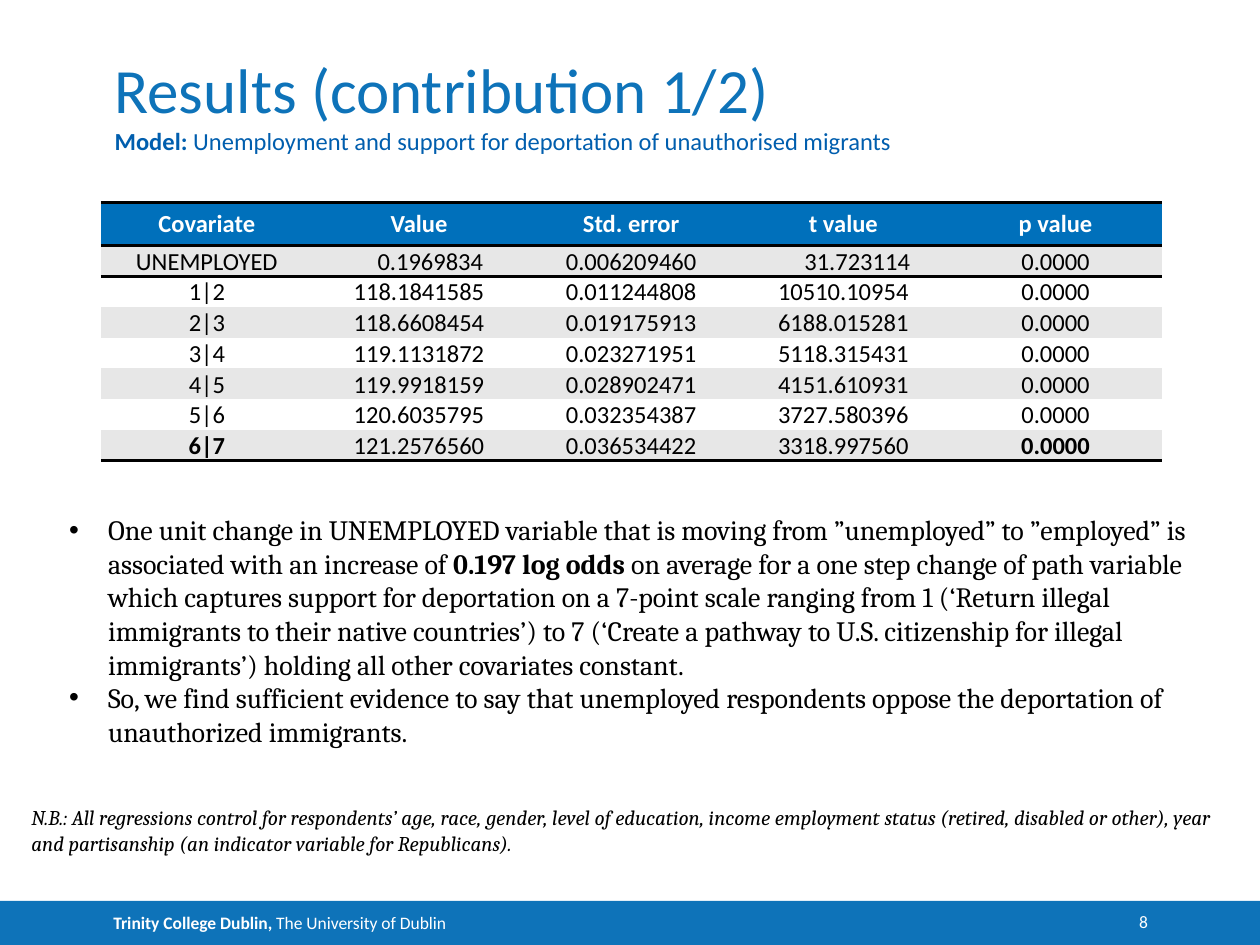
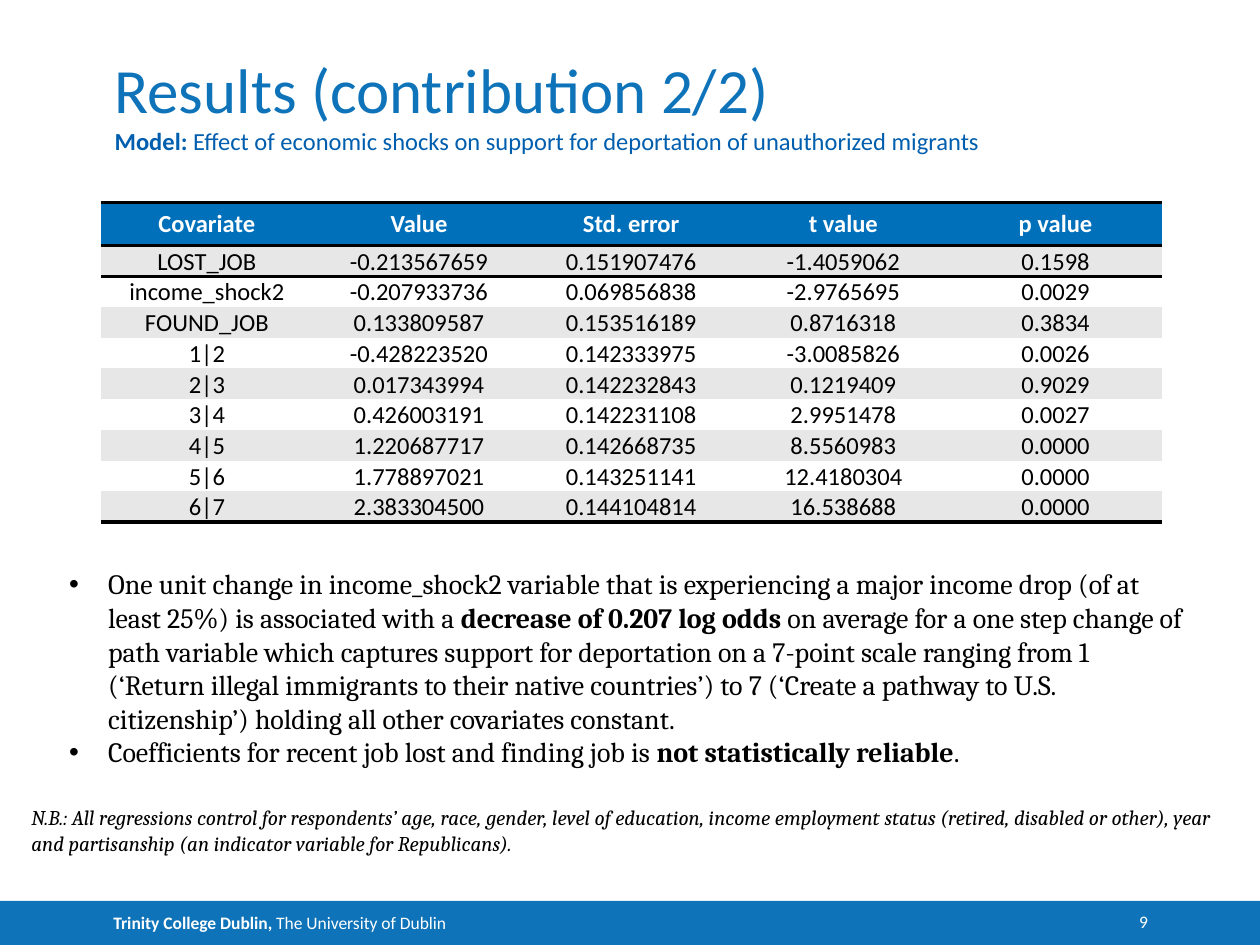
from lxml import etree
from pptx import Presentation
from pptx.dml.color import RGBColor
from pptx.enum import shapes, text
from pptx import util as u
from pptx.oxml import ns

BLUE, NAVY, HEAD = "0E73B9", "005EAE", "0070BB"
BLACK, WHITE, GREY = "000000", "FFFFFF", "E7E7E7"
SANS, SERIF = "Calibri", "Cambria"
PLAIN = "{2D5ABB26-0587-4C30-8999-92F81FD0307C}"
LEFT, MID, RIGHT = text.PP_ALIGN.LEFT, text.PP_ALIGN.CENTER, text.PP_ALIGN.RIGHT
TOP, BASE = text.MSO_ANCHOR.TOP, text.MSO_ANCHOR.BOTTOM

HEADS = ["Covariate", "Value", "Std. error", "t value", "p value"]
NOTE = ("N.B.: All regressions control for respondents’ age, race, gender, level of "
        "education, income employment status (retired, disabled or other), year and "
        "partisanship (an indicator variable for Republicans).")

# Asterisks enclose bold words; pads push single cells to the right (in inches).
PAGES = [
    dict(
        num="8", title="Results (contribution 1/2)", top=40.2, tall=19.9,
        model="*Model:* Unemployment and support for deportation of unauthorised migrants",
        pads={(1, 1): 0.18, (1, 3): 0.22},
        rows=[
            ["UNEMPLOYED", "0.1969834", "0.006209460", "31.723114", "0.0000"],
            ["1|2", "118.1841585", "0.011244808", "10510.10954", "0.0000"],
            ["2|3", "118.6608454", "0.019175913", "6188.015281", "0.0000"],
            ["3|4", "119.1131872", "0.023271951", "5118.315431", "0.0000"],
            ["4|5", "119.9918159", "0.028902471", "4151.610931", "0.0000"],
            ["5|6", "120.6035795", "0.032354387", "3727.580396", "0.0000"],
            ["*6|7*", "121.2576560", "0.036534422", "3318.997560", "*0.0000*"],
        ],
        points=[
            "One unit change in UNEMPLOYED variable that is moving from ”unemployed” to "
            "”employed” is associated with an increase of *0.197 log odds* on average for "
            "a one step change of path variable which captures support for deportation on "
            "a 7-point scale ranging from 1 (‘Return illegal immigrants to their native "
            "countries’) to 7 (‘Create a pathway to U.S. citizenship for illegal "
            "immigrants’) holding all other covariates constant.",
            "So, we find sufficient evidence to say that unemployed respondents oppose "
            "the deportation of unauthorized immigrants.",
        ]),
    dict(
        num="9", title="Results (contribution 2/2)", top=44.5, tall=17.2,
        model="*Model:* Effect of economic shocks on support for deportation of "
              "unauthorized migrants",
        pads={},
        rows=[
            ["LOST_JOB", "-0.213567659", "0.151907476", "-1.4059062", "0.1598"],
            ["income_shock2", "-0.207933736", "0.069856838", "-2.9765695", "0.0029"],
            ["FOUND_JOB", "0.133809587", "0.153516189", "0.8716318", "0.3834"],
            ["1|2", "-0.428223520", "0.142333975", "-3.0085826", "0.0026"],
            ["2|3", "0.017343994", "0.142232843", "0.1219409", "0.9029"],
            ["3|4", "0.426003191", "0.142231108", "2.9951478", "0.0027"],
            ["4|5", "1.220687717", "0.142668735", "8.5560983", "0.0000"],
            ["5|6", "1.778897021", "0.143251141", "12.4180304", "0.0000"],
            ["6|7", "2.383304500", "0.144104814", "16.538688", "0.0000"],
        ],
        points=[
            "One unit change in income_shock2 variable that is experiencing a major income "
            "drop (of at least 25%) is associated with a *decrease of 0.207 log odds* on "
            "average for a one step change of path variable which captures support for "
            "deportation on a 7-point scale ranging from 1 (‘Return illegal immigrants to "
            "their native countries’) to 7 (‘Create a pathway to U.S. citizenship’) "
            "holding all other covariates constant.",
            "Coefficients for recent job lost and finding job is *not statistically "
            "reliable*.",
        ]),
]

deck = Presentation()
deck.slide_width, deck.slide_height = u.Inches(10), u.Inches(7.5)
CELL = deck.slide_width / 100  # the slide is a grid of 100 columns and 75 rows


def grid(*cells):
    return [round(n * CELL) for n in cells]


def write(frame, lines, size, hue, font=SANS, align=LEFT, slant=None, dots=False):
    """Fill a text frame, one paragraph a line, with *bold* runs."""
    frame.word_wrap = True
    for i, line in enumerate(lines):
        para = frame.paragraphs[0] if i == 0 else frame.add_paragraph()
        para.alignment = align
        if dots:
            props = para._p.get_or_add_pPr()
            props.set("marL", str(u.Inches(0.31)))
            props.set("indent", str(-u.Inches(0.31)))
            etree.SubElement(props, ns.qn("a:buFont"), typeface="Arial")
            etree.SubElement(props, ns.qn("a:buChar"), char="•")
        for k, part in enumerate(line.split("*")):
            if part:
                run = para.add_run()
                run.text = part
                run.font.name, run.font.size = font, u.Pt(size)
                run.font.bold, run.font.italic = k % 2 == 1, slant
                run.font.color.rgb = RGBColor.from_string(hue)


for page in PAGES:
    slide = deck.slides.add_slide(deck.slide_layouts[6])

    # Footer band
    band = slide.shapes.add_shape(shapes.MSO_SHAPE.RECTANGLE, *grid(0, 71.5, 100, 3.5))
    band.shadow.inherit = False
    band.fill.solid()
    band.fill.fore_color.rgb = RGBColor.from_string(BLUE)
    band.line.fill.background()
    frame = band.text_frame
    frame.margin_left, frame.margin_top, frame.margin_bottom = u.Inches(0.9), 0, 0
    frame.vertical_anchor = text.MSO_ANCHOR.MIDDLE
    write(frame, ["*Trinity College Dublin, *The University of Dublin"], 10, WHITE)

    # Page number, title and model line
    for spot, words, size, hue, align, anchor in [
        ((87, 72.3, 4.1, 1.7), page["num"], 10, WHITE, RIGHT, TOP),
        ((9.1, 3.9, 82, 6.1), page["title"], 36, BLUE, LEFT, BASE),
        ((9.1, 10, 82, 3), page["model"], 14, NAVY, LEFT, TOP),
    ]:
        frame = slide.shapes.add_textbox(*grid(*spot)).text_frame
        frame.margin_left = frame.margin_right = 0
        frame.margin_top = frame.margin_bottom = 0
        frame.vertical_anchor = anchor
        write(frame, [words], size, hue, align=align)

    # Findings and note
    box = slide.shapes.add_textbox(*grid(4.5, page["top"], 91, page["tall"]))
    write(box.text_frame, page["points"], 16, BLACK, SERIF, dots=True)
    box = slide.shapes.add_textbox(*grid(1.5, 63.4, 97.2, 5))
    write(box.text_frame, [NOTE], 12, BLACK, SERIF, slant=True)

    # Table of estimates
    rows = [HEADS] + page["rows"]
    last = len(rows) - 1
    table = slide.shapes.add_table(
        len(rows), len(HEADS), *grid(8, 16.1, 84.2, 3.4 + 2.4 * last)).table
    table._tbl.tblPr.find(ns.qn("a:tableStyleId")).text = PLAIN
    for r, row in enumerate(rows):
        table.rows[r].height = grid(2.4 if r else 3.4)[0]
        for c, words in enumerate(row):
            cell = table.cell(r, c)
            if r:
                cell.margin_left = u.Inches(0.01 + page["pads"].get((r, c), 0))
                cell.margin_right = cell.margin_top = u.Inches(0.01)
                cell.margin_bottom = 0
            write(cell.text_frame, [words if r else f"*{words}*"], 14,
                  BLACK if r else WHITE, align=MID)
            props = cell._tc.get_or_add_tcPr()
            for side, drawn in (("a:lnT", r < 2), ("a:lnB", r in (0, last))):
                if drawn:
                    edge = etree.SubElement(props, ns.qn(side), w=str(u.Pt(2)))
                    ink = etree.SubElement(edge, ns.qn("a:solidFill"))
                    etree.SubElement(ink, ns.qn("a:srgbClr"), val=BLACK)
            cell.fill.solid()
            cell.fill.fore_color.rgb = RGBColor.from_string(
                HEAD if r == 0 else GREY if r % 2 else WHITE)

deck.save("out.pptx")
